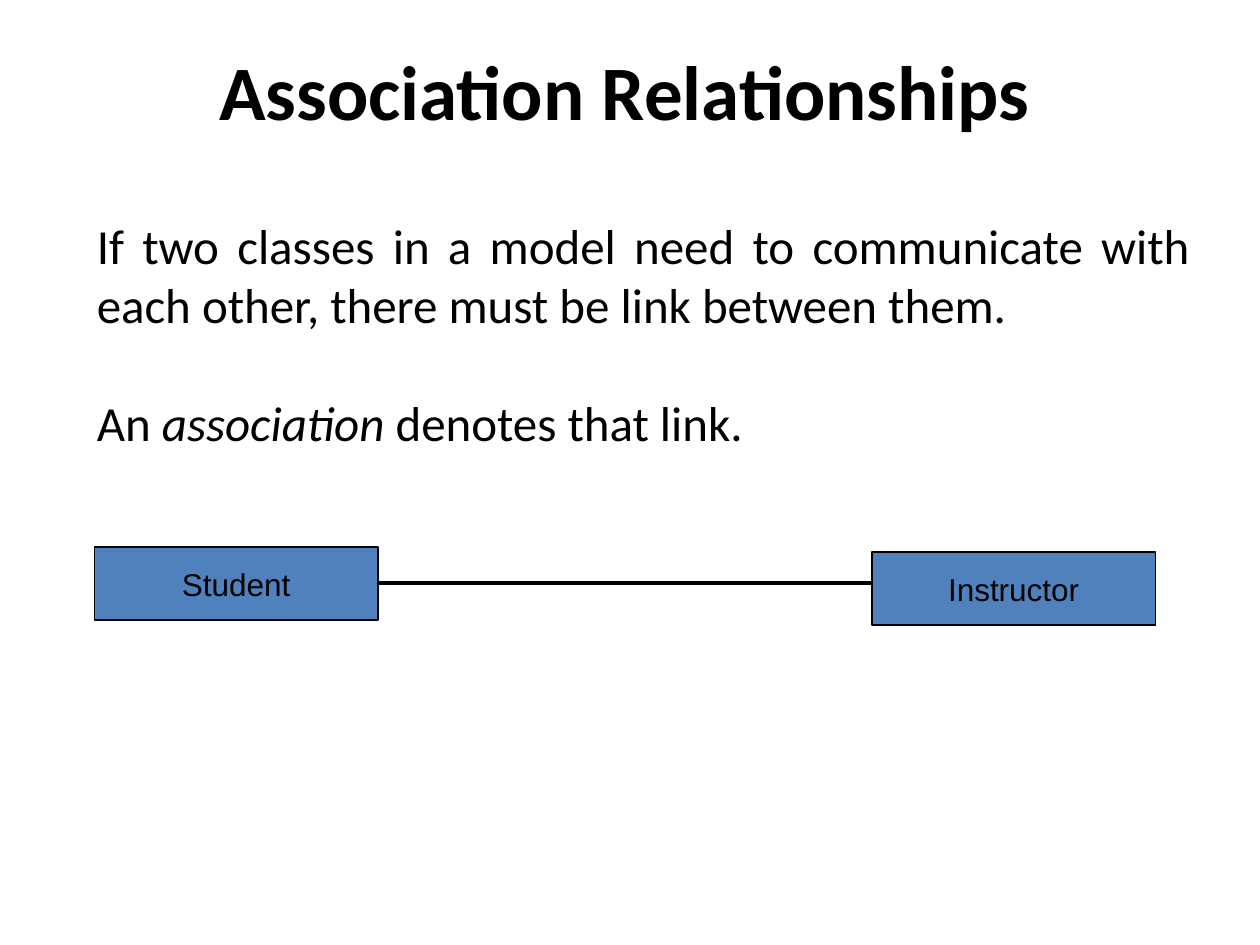
from lxml import etree
from pptx import Presentation
from pptx.dml.color import RGBColor
from pptx.enum.shapes import MSO_CONNECTOR, MSO_SHAPE
from pptx.enum.text import MSO_ANCHOR, PP_ALIGN
from pptx.oxml.ns import qn
from pptx.util import Inches, Pt

BLACK = RGBColor(0x00, 0x00, 0x00)
BLUE = RGBColor(0x4F, 0x81, 0xBD)
STRAIGHT = MSO_CONNECTOR.STRAIGHT
RECTANGLE = MSO_SHAPE.RECTANGLE
MIDDLE = MSO_ANCHOR.MIDDLE
CENTER, JUSTIFY = PP_ALIGN.CENTER, PP_ALIGN.JUSTIFY
RIGHT_SIDE = 3


def add_span(para, text, font, size, bold=False, italic=False):
    span = para.add_run()
    span.text = text
    span.font.name = font
    span.font.size = Pt(size)
    span.font.bold = bold
    span.font.italic = italic
    span.font.color.rgb = BLACK


def add_class_box(page, name, left, top):
    box = page.shapes.add_shape(
        RECTANGLE, Inches(left), Inches(top), Inches(2.25), Inches(0.58))
    box.shadow.inherit = False
    box.fill.solid()
    box.fill.fore_color.rgb = BLUE
    box.line.color.rgb = BLACK
    box.line.width = Pt(0.75)
    box.text_frame.vertical_anchor = MIDDLE
    para = box.text_frame.paragraphs[0]
    para.alignment = CENTER
    add_span(para, name, "Arial", 18)
    return box


deck = Presentation()
deck.slide_width = Inches(10)
deck.slide_height = Inches(7.5)
page = deck.slides.add_slide(deck.slide_layouts[6])

# Title
title = page.shapes.add_textbox(Inches(0.67), Inches(0.42), Inches(8.58), Inches(0.58))
title.text_frame.word_wrap = True
title.text_frame.vertical_anchor = MIDDLE
heading = title.text_frame.paragraphs[0]
heading.alignment = CENTER
add_span(heading, "Association Relationships", "Calibri", 44, bold=True)

# Explanation
body = page.shapes.add_textbox(Inches(0.67), Inches(1.66), Inches(8.87), Inches(1.99))
body.text_frame.word_wrap = True
reason = body.text_frame.paragraphs[0]
definition = body.text_frame.add_paragraph()
definition.space_before = Pt(34)
reason.alignment = definition.alignment = JUSTIFY
add_span(reason, "If two classes in a model need to communicate with each other, "
                 "there must be link between them.", "Calibri", 28)
for text, italic in (("An ", False), ("association", True), (" denotes that link.", False)):
    add_span(definition, text, "Calibri", 28, italic=italic)

# Class diagram: the association ends just behind the Instructor box
student = add_class_box(page, "Student", 0.75, 4.34)
association = page.shapes.add_connector(
    STRAIGHT, Inches(3), Inches(4.63), Inches(7), Inches(4.63))
association.begin_connect(student, RIGHT_SIDE)
association.line.color.rgb = BLACK
association.line.width = Pt(2.25)
etree.SubElement(association._element.spPr, qn("a:effectLst"))
add_class_box(page, "Instructor", 6.92, 4.38)

deck.save("out.pptx")
